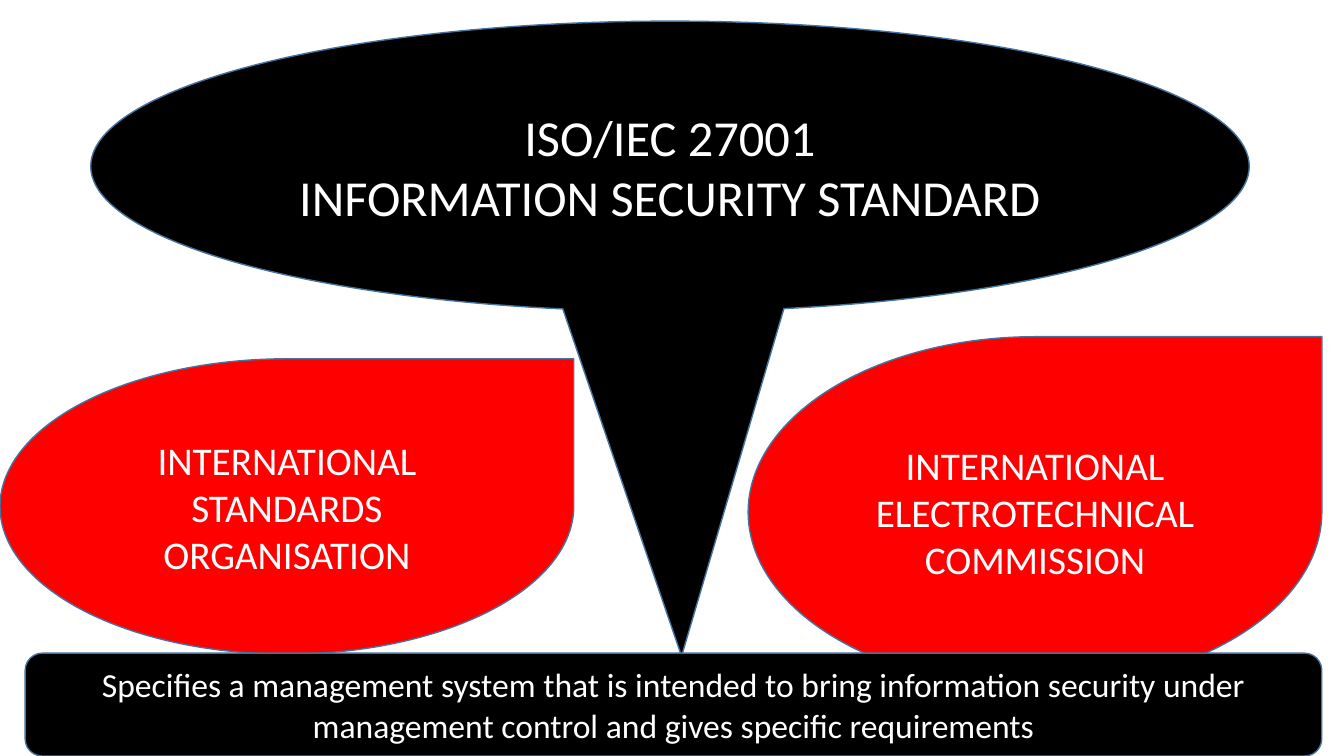
import pptx
import pptx.util
import pptx.dml.color
import pptx.enum.shapes
import pptx.enum.text
from dataclasses import dataclass

Inches = pptx.util.Inches
Pt = pptx.util.Pt
Color = pptx.dml.color.RGBColor.from_string
Kind = pptx.enum.shapes.MSO_SHAPE


@dataclass(frozen=True)
class Theme:
    font: str = "Calibri"
    black: str = "000000"
    red: str = "FF0000"
    edge: str = "43739E"
    text: str = "FFFFFF"
    title: int = 36
    body: int = 28
    note: int = 24


THEME = Theme()


def panel(slide, kind, box, fill, size, lines):
    """Add a filled shape with centred text, one paragraph per line."""
    shape = slide.shapes.add_shape(kind, *[Inches(n) for n in box])
    shape.shadow.inherit = False
    shape.fill.solid()
    shape.fill.fore_color.rgb = Color(fill)
    shape.line.color.rgb = Color(THEME.edge)
    shape.line.width = Pt(1)
    frame = shape.text_frame
    frame.word_wrap = True
    frame.vertical_anchor = pptx.enum.text.MSO_ANCHOR.MIDDLE
    frame.text = "\n".join(lines)
    for para in frame.paragraphs:
        para.alignment = pptx.enum.text.PP_ALIGN.CENTER
        for run in para.runs:
            run.font.name = THEME.font
            run.font.size = Pt(size)
            run.font.color.rgb = Color(THEME.text)
    return shape


def header(slide, box, tip):
    """Add the title callout; its tail ends at the given height."""
    left, top, width, height = box
    shape = panel(slide, Kind.OVAL_CALLOUT, box, THEME.black, THEME.title,
                  ["ISO/IEC 27001", "INFORMATION SECURITY STANDARD"])
    shape.adjustments[0] = 0.01
    shape.adjustments[1] = (tip - top) / height - 0.5


def body(slide, box, name):
    panel(slide, Kind.TEAR, box, THEME.red, THEME.body, [name])


def footer(slide, box):
    panel(slide, Kind.ROUNDED_RECTANGLE, box, THEME.black, THEME.note,
          ["Specifies a management system that is intended to bring "
           "information security under management control and gives "
           "specific requirements"])


def main():
    deck = pptx.Presentation()
    deck.slide_width = Inches(13.33)
    deck.slide_height = Inches(7.5)
    slide = deck.slides.add_slide(deck.slide_layouts[6])
    base = 6.48
    header(slide, (0.9, 0.21, 11.49, 2.88), base + 0.03)
    body(slide, (0, 3.56, 5.69, 2.93),
         "INTERNATIONAL STANDARDS ORGANISATION")
    body(slide, (7.42, 3.34, 5.69, 3.48),
         "INTERNATIONAL ELECTROTECHNICAL COMMISSION")
    footer(slide, (0.25, base, 12.86, 7.5 - base))
    deck.save("out.pptx")


if __name__ == "__main__":
    main()
